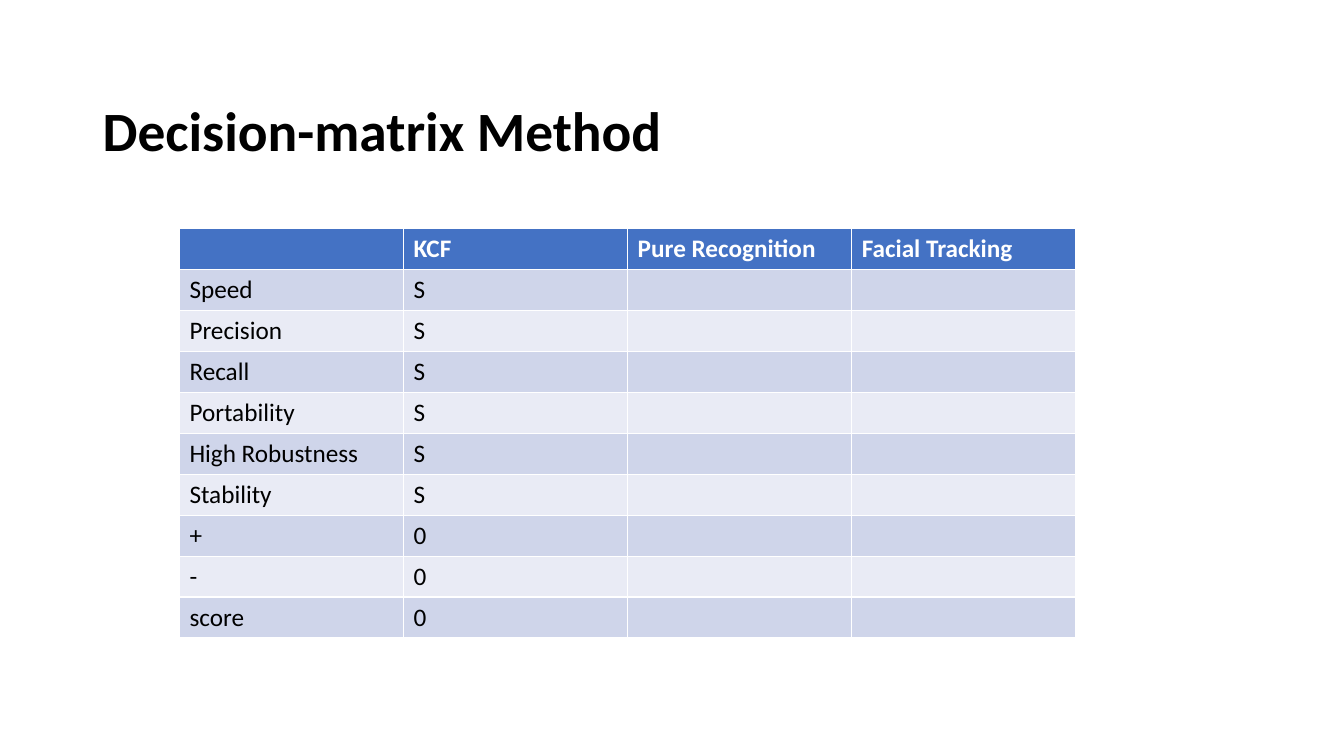
from dataclasses import dataclass

from pptx import Presentation
from pptx.dml.color import RGBColor
from pptx.enum.text import MSO_ANCHOR
from pptx.util import Inches, Pt

BOTTOM = MSO_ANCHOR.BOTTOM


@dataclass(frozen=True)
class Theme:
    font: str = "Calibri"
    title_size: float = 39.6
    table_size: float = 18
    text: str = "000000"
    header_text: str = "FFFFFF"
    header_fill: str = "4472C4"
    band_fills: tuple = ("CFD5EA", "E9EBF5")


THEME = Theme()

HEADINGS = ("", "KCF", "Pure Recognition", "Facial Tracking")
CRITERIA = ("Speed", "Precision", "Recall", "Portability", "High Robustness", "Stability")
TOTALS = ("+", "-", "score")
ROWS = [HEADINGS]
ROWS += [(criterion, "S", "", "") for criterion in CRITERIA]
ROWS += [(total, "0", "", "") for total in TOTALS]


def write_text(text_frame, text, *, size, color=THEME.text, bold=False, line_spacing=None):
    paragraph = text_frame.paragraphs[0]
    paragraph.text = text
    paragraph.line_spacing = line_spacing
    paragraph.font.name = THEME.font
    paragraph.font.size = Pt(size)
    paragraph.font.bold = bold
    paragraph.font.color.rgb = RGBColor.from_string(color)


def add_title(slide, left, top, width, height):
    shape = slide.shapes.add_textbox(Inches(left), Inches(top), Inches(width), Inches(height))
    text_frame = shape.text_frame
    text_frame.word_wrap = True
    text_frame.vertical_anchor = BOTTOM
    write_text(text_frame, "Decision-matrix Method", size=THEME.title_size,
               bold=True, line_spacing=0.9)


def add_matrix(slide, left, top, width, height):
    # The default table style supplies the white rules between cells
    table = slide.shapes.add_table(
        len(ROWS), len(HEADINGS),
        Inches(left), Inches(top), Inches(width), Inches(height)).table

    for row_index, row in enumerate(ROWS):
        is_header = row_index == 0
        fill = THEME.header_fill if is_header else THEME.band_fills[(row_index - 1) % 2]
        color = THEME.header_text if is_header else THEME.text
        for column_index, text in enumerate(row):
            cell = table.cell(row_index, column_index)
            cell.fill.solid()
            cell.fill.fore_color.rgb = RGBColor.from_string(fill)
            write_text(cell.text_frame, text, size=THEME.table_size,
                       color=color, bold=is_header)


def main():
    presentation = Presentation()
    presentation.slide_width = Inches(13.33)
    presentation.slide_height = Inches(7.5)
    slide = presentation.slides.add_slide(presentation.slide_layouts[6])

    add_title(slide, 0.92, 0.4, 11.5, 1.27)
    add_matrix(slide, 1.78, 2.27, 8.89, 4.06)

    presentation.save("out.pptx")


if __name__ == "__main__":
    main()
